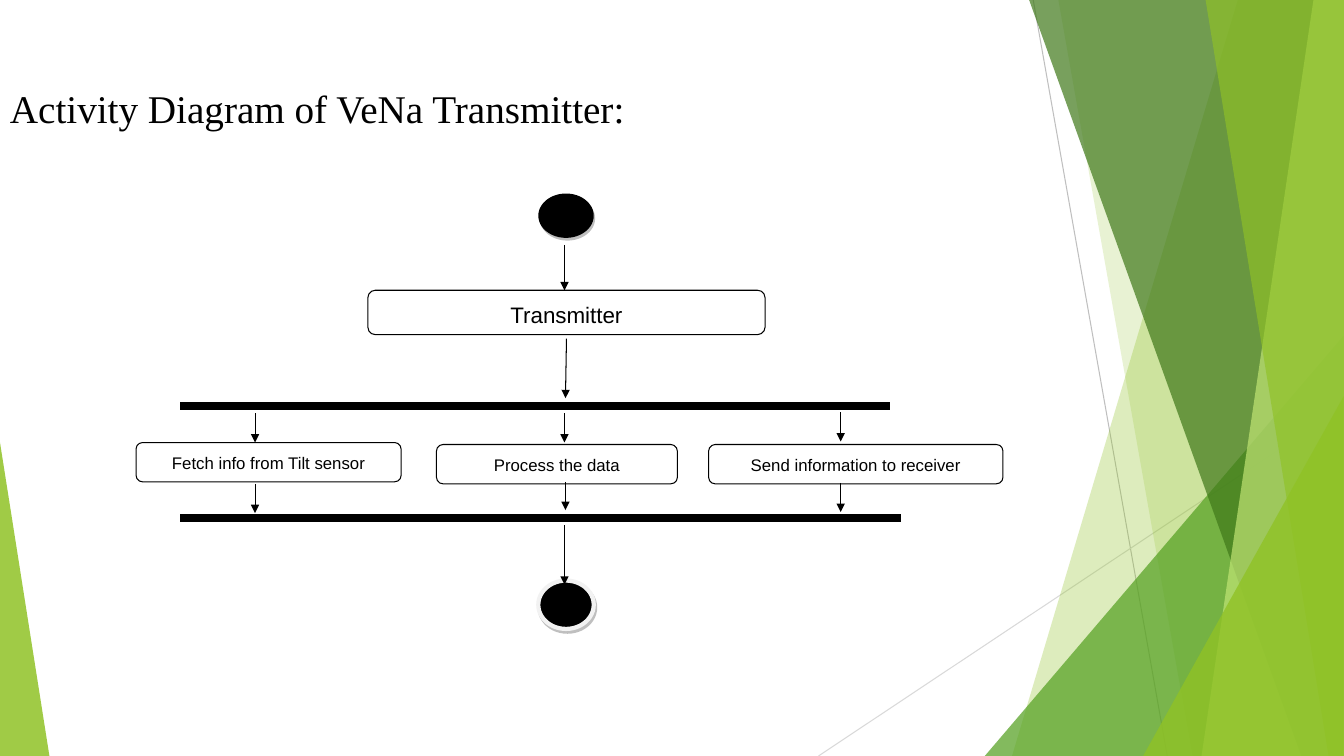
from dataclasses import dataclass

import pptx
import pptx.dml.color
import pptx.enum.shapes
import pptx.enum.text
import pptx.oxml
import pptx.oxml.ns
import pptx.util

# Grid: square cells, ten to the inch
CELL = pptx.util.Inches(0.1)
COLS, ROWS = 133.33, 75
MSO = pptx.enum.shapes.MSO_SHAPE
COLOURS = {
    "ink": "000000", "paper": "FFFFFF", "ring": "F2F2F2", "shade": "808080",
    "grey": "BFBFBF", "pale grey": "D9D9D9", "lime": "90C226",
    "green": "54A021", "forest": "3F7819", "light lime": "C0E474",
}


@dataclass
class Band:
    """Full-height facet reaching from a slanted left edge to the slide's right."""
    top: float
    bottom: float
    colour: str
    opacity: int


@dataclass
class Corner:
    """Right triangle; tip is 0 for a peak at the left and 1 at the right."""
    left: float
    top: float
    width: float
    tip: int
    colour: str
    opacity: int


@dataclass
class Line:
    x1: float
    y1: float
    x2: float
    y2: float
    colour: str = "ink"
    weight: float = 0.75
    arrow: bool = False


@dataclass
class Activity:
    text: str
    left: float
    top: float
    width: float
    height: float = 3.9
    size: int = 12


FACETS = [
    Band(122.8, 100.4, "lime", 30),
    Band(105, 118.3, "lime", 20),
    Corner(97.7, 33.3, 35.6, 1, "green", 72),
    Band(102.1, 129.1, "forest", 70),
    Band(130.3, 119.2, "light lime", 70),
    Band(119.6, 131.8, "lime", 65),
    Corner(113.4, 39.3, 19.9, 1, "lime", 80),
    Corner(0, 43.9, 4.9, 0, "lime", 85),
]
RULES = [
    Line(102.5, 0, 115.8, ROWS, "grey"),
    Line(COLS, 40.3, 81.2, ROWS, "pale grey"),
]
BARS = [
    Line(17.9, 40.3, 88.3, 40.3, weight=6),
    Line(17.9, 51.4, 89.4, 51.4, weight=6),
]
ACTIVITIES = [
    Activity("Transmitter", 36.5, 28.8, 39.4, 4.4, 16),
    Activity("Fetch info from Tilt sensor", 13.5, 43.9, 26.3),
    Activity("Process the data", 43.3, 44.1, 23.9),
    Activity("Send information to receiver", 70.3, 44.1, 29.2),
]
# Start column and row, then the column and row of the head
ARROWS = [
    (56, 24.3, 56, 28.8), (56.2, 33.6, 56.1, 39.5), (56, 52.1, 56, 58),
    (25.3, 41, 25.3, 43.9), (56, 41, 56, 43.9), (83.4, 40.9, 83.4, 43.8),
    (25.3, 48, 25.3, 50.9), (56.1, 47.8, 56.1, 50.6), (83.4, 47.9, 83.4, 50.8),
]


def cells(*counts: float) -> list[int]:
    return [round(n * CELL) for n in counts]


def rgb(name: str) -> pptx.dml.color.RGBColor:
    return pptx.dml.color.RGBColor.from_string(COLOURS[name])


def add_xml(parent, xml: str) -> None:
    """Append an element whose tag starts with a: to the parent."""
    tag, rest = xml[1:].split(" ", 1)
    ns = pptx.oxml.ns.nsdecls("a")
    parent.append(pptx.oxml.parse_xml(f"<{tag} {ns} {rest}"))


def paint(sp, fill: str, line: str = "", weight: float = 0.75, opacity: int = 100) -> None:
    sp.shadow.inherit = False
    sp.fill.solid()
    sp.fill.fore_color.rgb = rgb(fill)
    if opacity < 100:
        colour = sp.fill._xPr.find(".//" + pptx.oxml.ns.qn("a:srgbClr"))
        add_xml(colour, f'<a:alpha val="{opacity * 1000}"/>')
    if line:
        sp.line.color.rgb = rgb(line)
        sp.line.width = pptx.util.Pt(weight)
    else:
        sp.line.fill.background()


def write(sp, text: str, *, size: int, font: str, spacing: float,
          after: float = 0, align: str = "LEFT") -> None:
    tf = sp.text_frame
    tf.word_wrap = True
    tf.vertical_anchor = pptx.enum.text.MSO_ANCHOR.TOP
    p = tf.paragraphs[0]
    p.alignment = pptx.enum.text.PP_ALIGN[align]
    p.line_spacing = spacing
    p.space_after = pptx.util.Pt(after)
    r = p.add_run()
    r.text = text
    r.font.size = pptx.util.Pt(size)
    r.font.name = font
    r.font.color.rgb = rgb("ink")


def draw_line(s, line: Line) -> None:
    cx = s.shapes.add_connector(pptx.enum.shapes.MSO_CONNECTOR.STRAIGHT,
                                *cells(line.x1, line.y1, line.x2, line.y2))
    cx.line.color.rgb = rgb(line.colour)
    cx.line.width = pptx.util.Pt(line.weight)
    if line.arrow:
        add_xml(cx.line._get_or_add_ln(), '<a:tailEnd type="triangle"/>')
    add_xml(cx._element.spPr, "<a:effectLst />")


def draw_facet(s, facet: Band | Corner) -> None:
    if isinstance(facet, Band):
        fb = s.shapes.build_freeform(*cells(facet.top, 0))
        edge = [(COLS, 0), (COLS, ROWS), (facet.bottom, ROWS)]
        fb.add_line_segments([cells(*point) for point in edge], close=True)
        sp = fb.convert_to_shape()
    else:
        sp = s.shapes.add_shape(MSO.ISOSCELES_TRIANGLE, *cells(
            facet.left, facet.top, facet.width, ROWS - facet.top))
        sp.adjustments[0] = facet.tip
    paint(sp, facet.colour, opacity=facet.opacity)


def draw_node(s, kind: MSO, top: float, height: float, ring: str = "") -> None:
    """Start or end disc with a hard offset shadow."""
    sp = s.shapes.add_shape(kind, *cells(53.4, top, 5.5, height))
    paint(sp, "ink", ring, weight=3)
    effects = sp._element.spPr.find(pptx.oxml.ns.qn("a:effectLst"))
    add_xml(effects, '<a:outerShdw blurRad="0" dist="28000" dir="3780000" '
                     f'rotWithShape="0"><a:srgbClr val="{COLOURS["shade"]}">'
                     '<a:alpha val="50000"/></a:srgbClr></a:outerShdw>')


def draw_activity(s, a: Activity) -> None:
    sp = s.shapes.add_shape(MSO.ROUNDED_RECTANGLE,
                            *cells(a.left, a.top, a.width, a.height))
    paint(sp, "paper", "ink")
    write(sp, a.text, size=a.size, font="Arial", spacing=1.15, after=10, align="CENTER")


def main() -> None:
    prs = pptx.Presentation()
    prs.slide_width, prs.slide_height = cells(COLS, ROWS)
    s = prs.slides.add_slide(prs.slide_layouts[6])
    for rule in RULES:
        draw_line(s, rule)
    for facet in FACETS:
        draw_facet(s, facet)
    title = s.shapes.add_textbox(*cells(0, 5.5, 143.1, 8.1))
    write(title, "Activity Diagram of VeNa Transmitter:", size=28,
          font="Times New Roman", spacing=1.5)
    draw_node(s, MSO.OVAL, 19.2, 4.4)
    draw_node(s, MSO.FLOWCHART_CONNECTOR, 57.6, 4.8, "ring")
    for activity in ACTIVITIES:
        draw_activity(s, activity)
    for line in BARS + [Line(*ends, arrow=True) for ends in ARROWS]:
        draw_line(s, line)
    prs.save("out.pptx")


if __name__ == "__main__":
    main()
